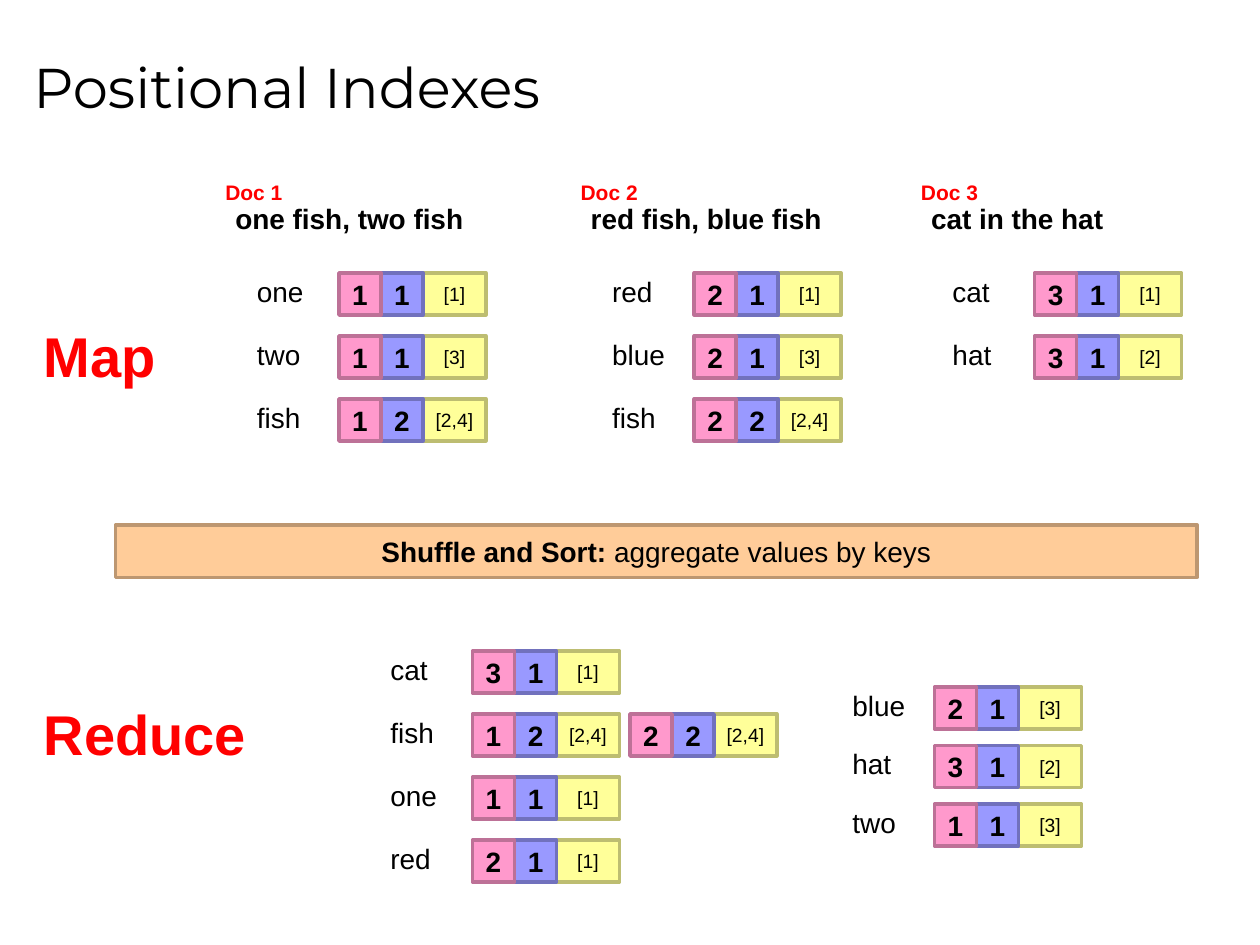
from pptx import Presentation
from pptx.dml.color import RGBColor
from pptx.enum import shapes, text
from pptx.util import Pt

BLACK = RGBColor(0x00, 0x00, 0x00)
RED = RGBColor(0xFF, 0x00, 0x00)
PINK, PINK_EDGE = RGBColor(0xFF, 0x99, 0xCC), RGBColor(0xBD, 0x71, 0x97)
BLUE, BLUE_EDGE = RGBColor(0x99, 0x99, 0xFF), RGBColor(0x71, 0x71, 0xBD)
YELLOW, YELLOW_EDGE = RGBColor(0xFF, 0xFF, 0x99), RGBColor(0xBD, 0xBD, 0x71)
ORANGE, ORANGE_EDGE = RGBColor(0xFF, 0xCC, 0x99), RGBColor(0xBD, 0x97, 0x71)

CELL = 24
POSITIONS_WIDTH = 36
POSTING_STEP = 90
KEY_TO_POSTING = 54
KEY_RISE = 2.75
LABEL_HEIGHT = 26.6
KEY_WIDTHS = {"one": 41.8, "two": 39.6, "fish": 39.6, "red": 38.2,
              "blue": 44.6, "cat": 36, "hat": 36.7}

# Left edge, name, sentence, sentence width, rows of (key, postings)
DOCUMENTS = [
    (139.7, "Doc 1", "one fish, two fish", 146.9,
     [("one", [(1, 1, "[1]")]), ("two", [(1, 1, "[3]")]),
      ("fish", [(1, 2, "[2,4]")])]),
    (342.7, "Doc 2", "red fish, blue fish", 148.3,
     [("red", [(2, 1, "[1]")]), ("blue", [(2, 1, "[3]")]),
      ("fish", [(2, 2, "[2,4]")])]),
    (537.2, "Doc 3", "cat in the hat", 114.5,
     [("cat", [(3, 1, "[1]")]), ("hat", [(3, 1, "[2]")])]),
]
# Left edge, top, row step, rows of (key, postings)
REDUCERS = [
    (216, 372, 36,
     [("cat", [(3, 1, "[1]")]),
      ("fish", [(1, 2, "[2,4]"), (2, 2, "[2,4]")]),
      ("one", [(1, 1, "[1]")]), ("red", [(2, 1, "[1]")])]),
    (480, 392.5, 33.5,
     [("blue", [(2, 1, "[3]")]), ("hat", [(3, 1, "[2]")]),
      ("two", [(1, 1, "[3]")])]),
]


def set_font(para, size, color=BLACK, bold=False, name="Arial"):
    font = para.font
    font.name, font.size, font.bold = name, Pt(size), bold
    font.color.rgb = color


def add_label(page, left, top, width, height, words, size, color=BLACK, bold=False):
    box = page.shapes.add_textbox(Pt(left), Pt(top), Pt(width), Pt(height))
    frame = box.text_frame
    frame.word_wrap = False
    frame.auto_size = text.MSO_AUTO_SIZE.SHAPE_TO_FIT_TEXT
    para = frame.paragraphs[0]
    para.text = words
    set_font(para, size, color, bold)


def add_block(page, left, top, width, height, fill, edge):
    """Add an outlined rectangle and return its centred paragraph."""
    block = page.shapes.add_shape(shapes.MSO_SHAPE.RECTANGLE,
                                  Pt(left), Pt(top), Pt(width), Pt(height))
    block.shadow.inherit = False
    block.fill.solid()
    block.fill.fore_color.rgb = fill
    block.line.color.rgb = edge
    block.line.width = Pt(2)
    frame = block.text_frame
    frame.margin_left = frame.margin_right = 0
    frame.margin_top = frame.margin_bottom = 0
    frame.vertical_anchor = text.MSO_ANCHOR.MIDDLE
    para = frame.paragraphs[0]
    para.alignment = text.PP_ALIGN.CENTER
    return para


def add_posting(page, left, top, doc, count, positions):
    """Add document number, term count and positions, drawn right to left."""
    cells = [
        (2 * CELL, POSITIONS_WIDTH, YELLOW, YELLOW_EDGE, positions, 11, False),
        (CELL, CELL, BLUE, BLUE_EDGE, count, 16, True),
        (0, CELL, PINK, PINK_EDGE, doc, 16, True),
    ]
    for offset, width, fill, edge, value, size, bold in cells:
        para = add_block(page, left + offset, top, width, CELL, fill, edge)
        para.text = str(value)
        set_font(para, size, bold=bold)


def add_rows(page, left, top, step, rows):
    """Add one line per key: the key, then its postings side by side."""
    for row, (key, postings) in enumerate(rows):
        y = top + row * step
        add_label(page, left, y - KEY_RISE, KEY_WIDTHS[key], LABEL_HEIGHT, key, 16)
        for column, posting in enumerate(postings):
            add_posting(page, left + KEY_TO_POSTING + column * POSTING_STEP, y, *posting)


def add_document(page, left, top, name, sentence, width, rows):
    add_label(page, left - 12.25, top + 12.5, width, LABEL_HEIGHT, sentence, 16, bold=True)
    add_label(page, left - 18, top, 47.5, 21.8, name, 12, RED, True)
    add_rows(page, left, top + 57, 36, rows)


def add_title(page, left, top, width, height):
    box = page.shapes.add_textbox(Pt(left), Pt(top), Pt(width), Pt(height))
    frame = box.text_frame
    frame.word_wrap = True
    frame.vertical_anchor = text.MSO_ANCHOR.MIDDLE
    para = frame.paragraphs[0]
    para.text = "Positional Indexes"
    set_font(para, 32, name="Montserrat")


def add_shuffle_bar(page, left, top, width, height):
    para = add_block(page, left, top, width, height, ORANGE, ORANGE_EDGE)
    for words, bold in [("Shuffle and Sort:", True), (" aggregate values by keys", False)]:
        span = para.add_run()
        span.text = words
        span.font.bold = bold
    set_font(para, 16)


def main():
    deck = Presentation()
    deck.slide_width, deck.slide_height = Pt(720), Pt(540)
    page = deck.slides.add_slide(deck.slide_layouts[6])
    add_title(page, 12, 9, 684, 80.5)
    add_label(page, 18, 180, 79, 46, "Map", 32, RED, True)
    for left, *document in DOCUMENTS:
        add_document(page, left, 99, *document)
    add_shuffle_bar(page, 66, 300, 618, 30)
    add_label(page, 18, 396, 131, 46, "Reduce", 32, RED, True)
    for reducer in REDUCERS:
        add_rows(page, *reducer)
    deck.save("out.pptx")


if __name__ == "__main__":
    main()
